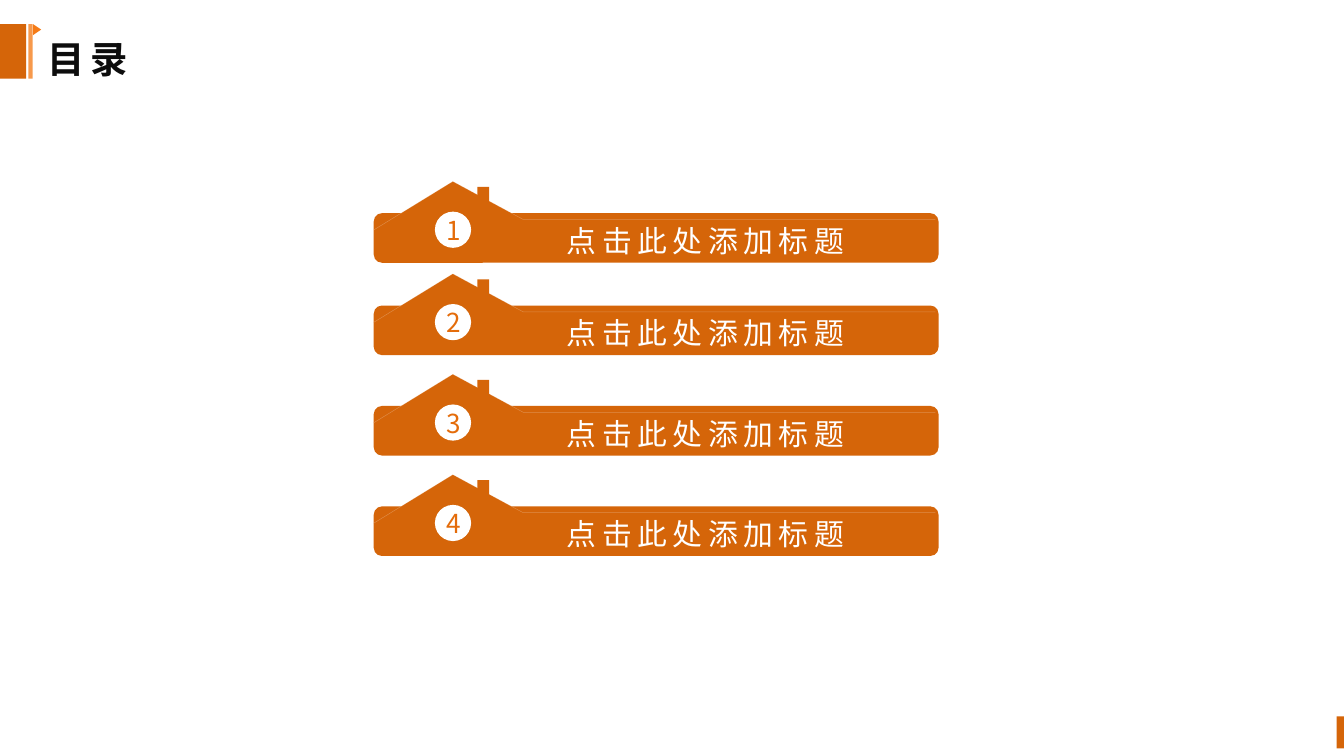
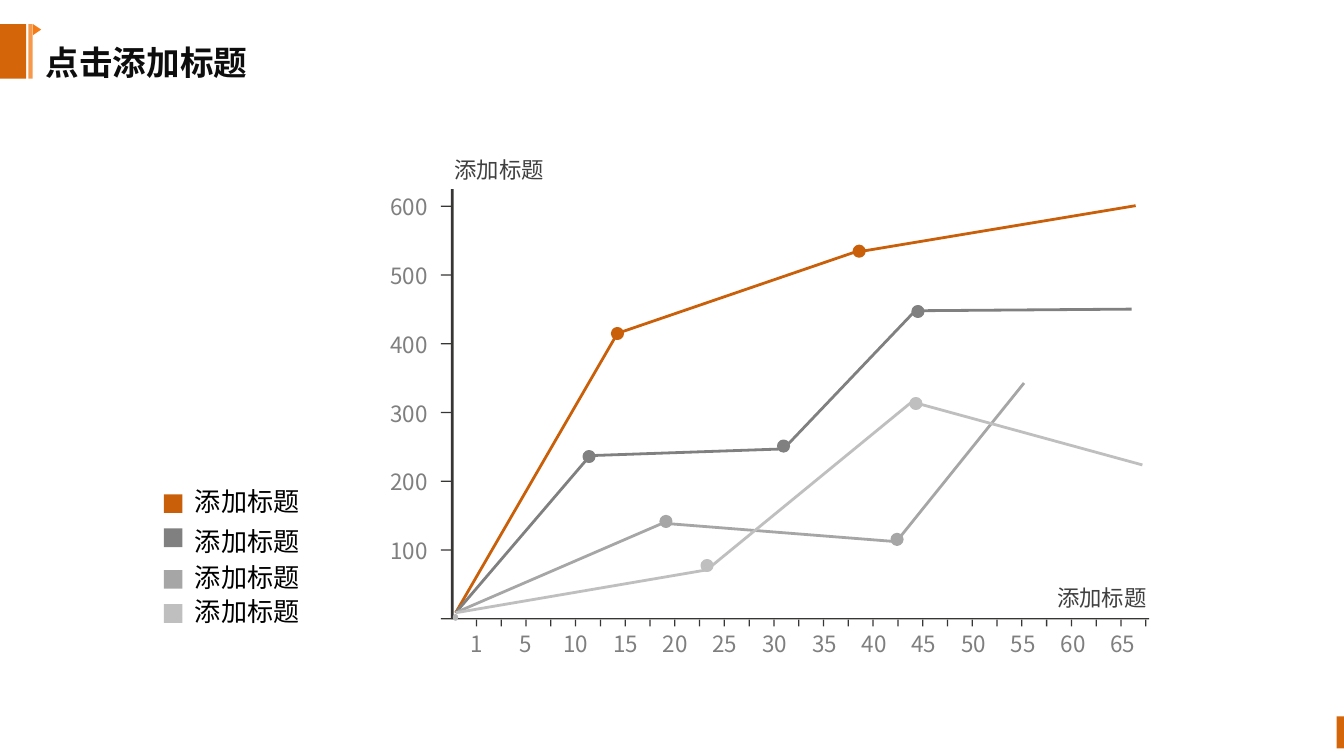
from dataclasses import dataclass
from itertools import pairwise
from lxml.etree import SubElement
from pptx import Presentation
from pptx.dml.color import RGBColor
from pptx.enum.shapes import MSO_CONNECTOR, MSO_SHAPE
from pptx.enum.text import MSO_ANCHOR, MSO_AUTO_SIZE, PP_ALIGN
from pptx.oxml.ns import qn
from pptx.util import Pt


@dataclass(frozen=True)
class Theme:
    font: str = "Noto Sans CJK SC"
    white: str = "FFFFFF"
    black: str = "000000"
    brand: str = "D56509"
    accent: str = "F57B17"
    number: str = "E46C0A"
    title: str = "0D0D0D"
    axis: str = "383634"
    origin: str = "B5B5B6"
    axis_title: str = "404040"
    tick: str = "7F7F7F"
    series: tuple = ("C96009", "808080", "A6A6A6", "BFBFBF")
    contents_size: int = 20
    title_size: int = 18
    item_size: int = 16
    label_size: int = 14
    tick_size: int = 12


T = Theme()
RECT, OVAL = MSO_SHAPE.RECTANGLE, MSO_SHAPE.OVAL
connectors = []
translucent = []  # (colour element, opacity in percent)


def draw(parent, kind, x, y, w, h, color):
    sp = parent.shapes.add_shape(kind, Pt(x), Pt(y), Pt(w), Pt(h))
    sp.shadow.inherit = False
    sp.fill.solid()
    sp.fill.fore_color.rgb = RGBColor.from_string(color)
    sp.line.fill.background()
    return sp


def write(sp, x, y, w, h, text, size, color, align=PP_ALIGN.CENTER, bold=False, spacing=0):
    sp.left, sp.top, sp.width, sp.height = Pt(x), Pt(y), Pt(w), Pt(h)
    tf = sp.text_frame
    frame = {"word_wrap": True, "auto_size": MSO_AUTO_SIZE.SHAPE_TO_FIT_TEXT,
             "vertical_anchor": MSO_ANCHOR.TOP}
    for name, value in frame.items():
        setattr(tf, name, value)
    p = tf.paragraphs[0]
    p.alignment = align
    r = p.add_run()
    r.text = text
    for name, value in {"name": T.font, "size": Pt(size), "bold": bold}.items():
        setattr(r.font, name, value)
    r.font.color.rgb = RGBColor.from_string(color)
    rPr = r.font._element
    SubElement(rPr, qn("a:ea")).set("typeface", T.font)
    if spacing:
        rPr.set("spc", str(spacing * 100))


prs = Presentation()
prs.slide_width, prs.slide_height = Pt(720), Pt(405)
layout = prs.slide_layouts[5]

# Fit the template placeholders to the wide page
for page in [*prs.slide_layouts, prs.slide_master]:
    for sp in page.placeholders:
        left, top, width, height = sp.left, sp.top, sp.width, sp.height
        sp.left, sp.top = left, int(top * 0.75)
        sp.width, sp.height = width, int(height * 0.75)

contents = prs.slides.add_slide(layout)
trend = prs.slides.add_slide(layout)

# Shared decoration, moved to the master
veil = draw(contents, RECT, 0, 0, 720, 405, T.white)
translucent.append((veil.element.xpath(".//p:spPr//a:srgbClr")[0], 77))
band = draw(contents, RECT, 0, 13, 14, 29.2, T.brand)
stripe = contents.shapes.add_connector(
    MSO_CONNECTOR.STRAIGHT, Pt(16.4), Pt(13), Pt(16.4), Pt(42.2))
stripe.line.color.rgb = RGBColor.from_string(T.accent)
stripe.line.width = Pt(2.25)
connectors.append(stripe)
translucent.append((stripe.element.xpath(".//a:ln//a:srgbClr")[0], 77))
corner = draw(contents, RECT, 716, 383.8, 4.3, 17.2, T.brand)
corner.width = prs.slide_width - corner.left
flag = draw(contents, MSO_SHAPE.ISOSCELES_TRIANGLE, 17, 13.7, 5.8, 4.3, T.accent)
flag.rotation = 90
for i, sp in enumerate((veil, band, stripe, corner, flag)):
    sp.element.xpath(".//p:cNvPr")[0].set("id", str(101 + i))
    prs.slide_master.shapes.element.insert(2 + i, sp.element)

# Contents: four houses
write(contents.shapes.title, 18, 15.8, 76.3, 31.7, "目录", T.contents_size, T.title,
      PP_ALIGN.LEFT, True, 3)
for number, y in enumerate((114.2, 163.7, 217.5, 271.3), 1):
    house = contents.shapes.add_group_shape()
    draw(house, MSO_SHAPE.ROUNDED_RECTANGLE, 200.2, y, 302.6, 26.6, T.brand)
    outline = [(Pt(x), Pt(y + dy)) for x, dy in
               ((200.2, 9), (242.6, -17), (280.3, 3.4), (501.1, 3.4))]
    builder = house.shapes.build_freeform(*outline[0])
    builder.add_line_segments(outline[1:], close=False)
    roof = builder.convert_to_shape()
    roof.shadow.inherit = False
    roof.fill.solid()
    roof.fill.fore_color.rgb = RGBColor.from_string(T.brand)
    roof.line.color.rgb = RGBColor.from_string(T.white)
    roof.line.width = Pt(0.25)
    translucent.append((roof.element.xpath(".//a:ln//a:srgbClr")[0], 25))
    draw(house, RECT, 255.7, y - 14, 6.4, 9.4, T.brand)
    write(house.shapes.add_textbox(0, 0, 0, 0), 296.6, y + 1.5, 267.8, 26.6,
          "点击此处添加标题", T.item_size, T.white, PP_ALIGN.LEFT, spacing=3)
    draw(house, OVAL, 233, y - 0.8, 19.4, 19.4, T.white)
    write(house.shapes.add_textbox(0, 0, 0, 0), 229, y - 2.9, 28.1, 24.5,
          str(number), T.label_size, T.number)

# Trend: title and axis titles
write(trend.shapes.title, 17.3, 18.7, 138.2, 28.8, "点击添加标题", T.title_size, T.title,
      PP_ALIGN.LEFT, True)
for x, y, w in ((223.9, 79.9, 87.1), (550.1, 309.6, 80.6)):
    write(trend.shapes.add_textbox(0, 0, 0, 0), x, y, w, 21.6, "添加标题",
          T.tick_size, T.axis_title)

# Axes, ticks and tick labels
axes = trend.shapes.add_group_shape()
draw(axes, RECT, 241.5, 101.3, 1.6, 230.4, T.axis)
draw(axes, RECT, 242.6, 331.2, 373, 0.7, T.axis)
draw(axes, OVAL, 242.6, 329, 2.9, 3.6, T.origin)
for i in range(7):
    draw(axes, RECT, 236.2, 331.2 - 36.85 * i, 6.5, 0.7, T.axis)
for i in range(28):
    draw(axes, RECT, 254.9 + 13.28 * i, 332, 0.7, 3.6, T.axis)
for i in range(1, 7):
    write(axes.shapes.add_textbox(0, 0, 0, 0), 198.7, 321.2 - 36.85 * i, 41, 21.6,
          str(100 * i), T.tick_size, T.tick)
for i in range(14):
    write(axes.shapes.add_textbox(0, 0, 0, 0), 235.4 + 26.64 * i, 334.1, 39.6, 21.6,
          str(5 * i or 1), T.tick_size, T.tick)

# Legend: label top and swatch top
legend = trend.shapes.add_group_shape()
rows = ((256.3, 264.8), (277.9, 283.1), (297.4, 305.4), (315.4, 323.7))
for color, (label_y, swatch_y) in zip(T.series, rows):
    write(legend.shapes.add_textbox(0, 0, 0, 0), 90, label_y, 85, 24.5, "添加标题",
          T.label_size, T.black)
    draw(legend, RECT, 87.8, swatch_y, 10, 10, color)

# Series: line corners and marker centres
series = (
    (((244.1, 328.3), (330.8, 178.6), (457, 135.4), (608.4, 110.2)),
     ((330.8, 178.7), (460.3, 134.6))),
    (((244.1, 328.3), (316.1, 244.1), (419.8, 240.5), (490.3, 166.5), (606.2, 165.6)),
     ((315.6, 244.6), (419.8, 239), (491.8, 166.9))),
    (((245.5, 327.6), (355, 280.3), (480.2, 290.2), (548.6, 205.2)),
     ((356.8, 279.4), (480.6, 289))),
    (((244.1, 328.3), (378.7, 305.3), (488.5, 215.3), (612, 249.1)),
     ((378.8, 303), (490.7, 216.2))),
)
for color, (corners, markers) in zip(T.series, series):
    plot = trend.shapes.add_group_shape()
    for start, end in pairwise(corners):
        line = plot.shapes.add_connector(
            MSO_CONNECTOR.STRAIGHT, *(Pt(v) for v in start + end))
        line.line.color.rgb = RGBColor.from_string(color)
        line.line.width = Pt(1.5)
        connectors.append(line)
    for x, y in markers:
        dot = draw(plot, OVAL, x - 2.5, y - 2.5, 5, 5, color)
        dot.line.color.rgb = RGBColor.from_string(color)
        dot.line.width = Pt(2)

# Flat connectors and transparency
for line in connectors:
    SubElement(line.element.spPr, qn("a:effectLst"))
for color, opacity in translucent:
    SubElement(color, qn("a:alpha")).set("val", str(opacity * 1000))

prs.save("out.pptx")
